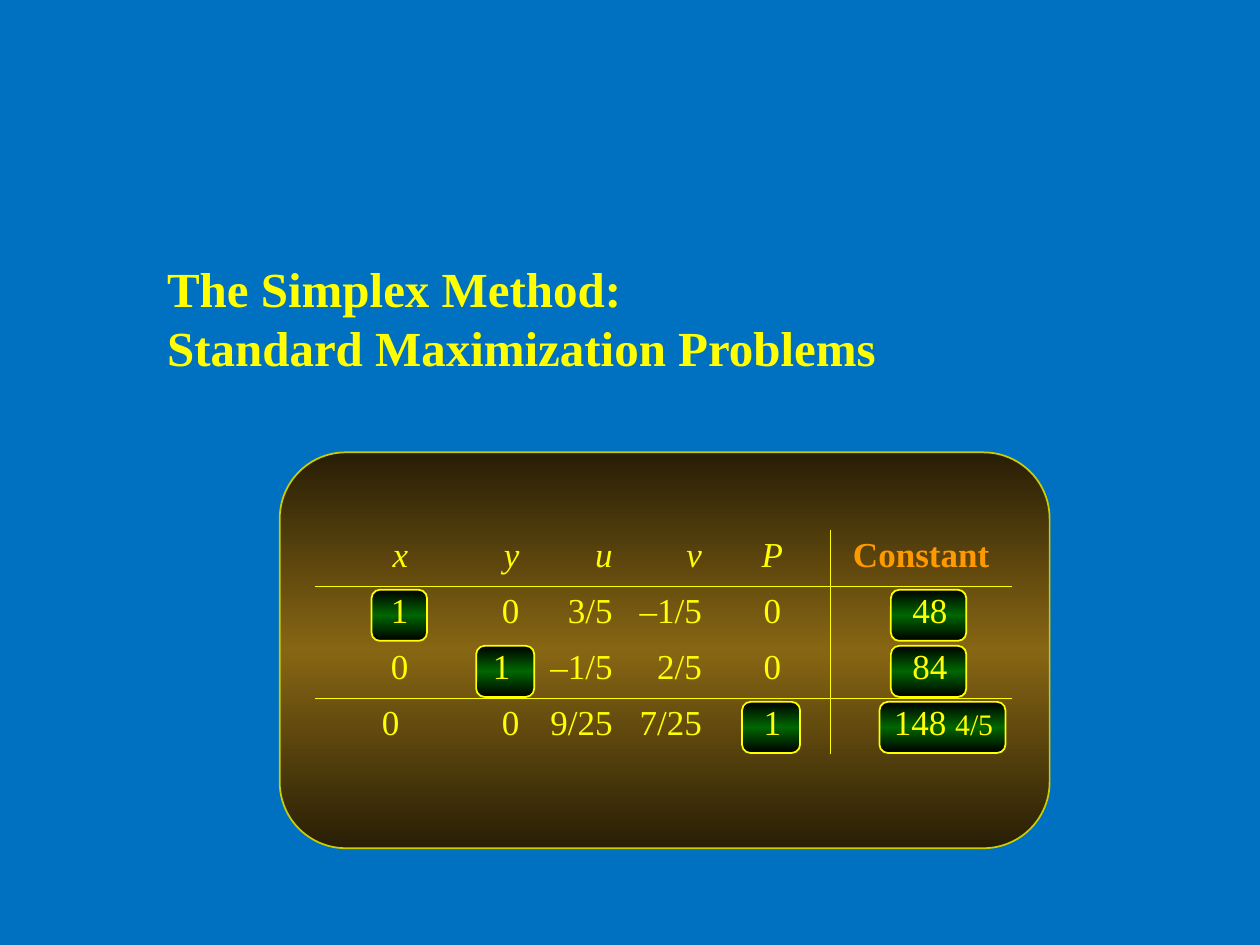
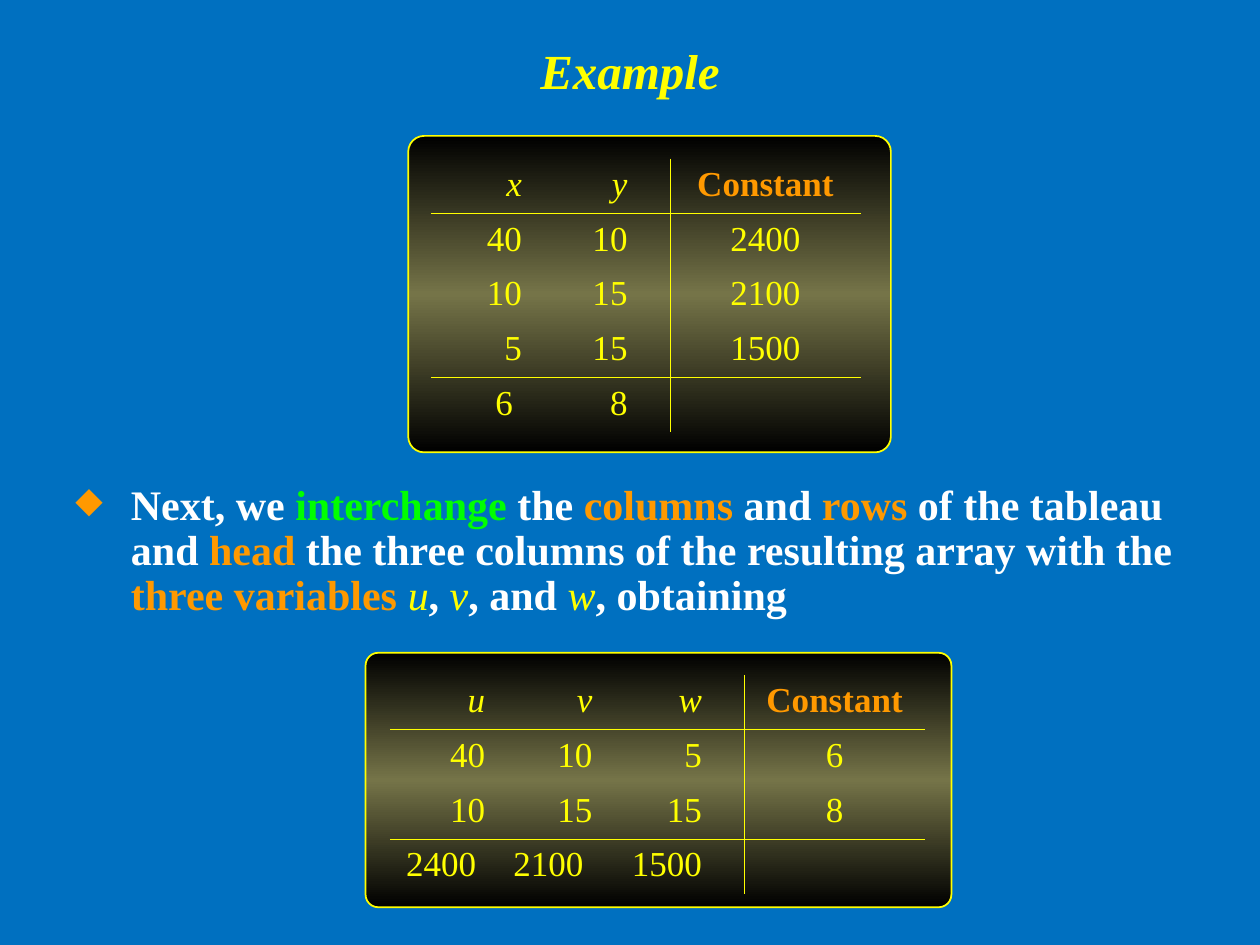
from dataclasses import dataclass
from lxml.etree import SubElement as Sub
from pptx import Presentation
from pptx.dml.color import RGBColor as Rgb
from pptx.enum.shapes import MSO_SHAPE as Shape
from pptx.enum.text import MSO_ANCHOR as Anchor, PP_ALIGN as Align
from pptx.oxml.ns import qn
from pptx.util import Cm, Pt


@dataclass(frozen=True)
class Look:
    size: float
    color: str
    bold: bool = False
    italic: bool = False


class Theme:
    font = "Times New Roman"
    back, line, edge, mark = "0070C0", "FFFF00", "CCCC00", "FF9900"
    gold = ("281E06", "876613")
    green = ("000000", "006600")
    olive = ("000000", "757448")
    rule = 0.45
    bare = "{2D5ABB26-0587-4C30-8999-92F81FD0307C}"  # table without grid
    pad = 0.25
    # Text looks
    cover = Look(28, line, bold=True)
    title = Look(28, line, bold=True, italic=True)
    body = Look(24, "FFFFFF", bold=True)
    key = Look(24, mark, bold=True)
    act = Look(24, "00FF00", bold=True)
    var = Look(24, line, italic=True)
    head = Look(20, line, italic=True)
    const = Look(20, mark, bold=True)
    cell = Look(20, line)
    small = Look(17, line)


class Deck:
    def __init__(self, theme):
        self.theme = theme
        self.prs = Presentation()
        self.prs.slide_width, self.prs.slide_height = Cm(25.4), Cm(19.05)
        self.slide = None

    def page(self):
        self.slide = self.prs.slides.add_slide(self.prs.slide_layouts[6])
        fill = self.slide.background.fill
        fill.solid()
        fill.fore_color.rgb = Rgb.from_string(self.theme.back)

    def run(self, para, text, look):
        run = para.add_run()
        run.text = text
        font = run.font
        font.name, font.size = self.theme.font, Pt(look.size)
        font.bold, font.italic = look.bold, look.italic
        font.color.rgb = Rgb.from_string(look.color)

    def text(self, box, paras, align=Align.LEFT, anchor=Anchor.TOP):
        """Add a text box; each paragraph is a list of (text, look) runs."""
        frame = self.slide.shapes.add_textbox(*map(Cm, box)).text_frame
        frame.word_wrap, frame.vertical_anchor = True, anchor
        for num, runs in enumerate(paras):
            para = frame.add_paragraph() if num else frame.paragraphs[0]
            para.alignment = align
            for text, look in runs:
                self.run(para, text, look)
        return frame.paragraphs

    def bullet(self, para, indent):
        props = para._p.get_or_add_pPr()
        props.set("marL", str(Cm(indent)))
        props.set("indent", str(-Cm(indent)))
        Sub(Sub(props, qn("a:buClr")), qn("a:srgbClr"), val=self.theme.mark)
        Sub(props, qn("a:buSzPct"), val="85000")
        Sub(props, qn("a:buChar"), char="◆")

    def panel(self, box, colors, bend, edge=Theme.line):
        """Add a rounded box that shades from dark to light and back."""
        shape = self.slide.shapes.add_shape(
            Shape.ROUNDED_RECTANGLE, *map(Cm, box))
        shape.shadow.inherit = False
        shape.adjustments[0] = bend
        shape.line.color.rgb = Rgb.from_string(edge)
        shape.line.width = Pt(1)
        shape.fill.gradient()
        shape.fill.gradient_angle = 270
        stops = shape._element.spPr.find(".//" + qn("a:gsLst"))
        for stop in list(stops):
            stops.remove(stop)
        dark, light = colors
        for pos, color in ((0, dark), (50, light), (100, dark)):
            stop = Sub(stops, qn("a:gs"), pos=str(pos * 1000))
            Sub(stop, qn("a:srgbClr"), val=color)

    def border(self, cell, sides):
        props = cell._tc.get_or_add_tcPr()
        for side, drawn in sides.items():
            line = Sub(props, qn("a:ln" + side), w=str(Pt(self.theme.rule)))
            if drawn:
                fill = Sub(line, qn("a:solidFill"))
                Sub(fill, qn("a:srgbClr"), val=self.theme.line)
            else:
                Sub(line, qn("a:noFill"))

    def tableau(self, left, top, cols, high, rows, mid=1, pads=None):
        """Add a simplex tableau: the last mid columns are centred, and
        pads maps (row, column) to extra left and right margins."""
        theme, pads = self.theme, pads or {}
        last, end = len(rows) - 1, len(cols) - 1
        table = self.slide.shapes.add_table(
            len(rows), len(cols), Cm(left), Cm(top),
            Cm(sum(cols)), Cm(high * len(rows))).table
        table.first_row = table.horz_banding = False
        table._tbl.tblPr.find(qn("a:tableStyleId")).text = theme.bare
        for col, wide in zip(table.columns, cols):
            col.width = Cm(wide)
        for r, row in enumerate(rows):
            table.rows[r].height = Cm(high)
            for c, item in enumerate(row):
                cell = table.cell(r, c)
                more = pads.get((r, c), (0, 0))
                cell.margin_left = Cm(theme.pad + more[0])
                cell.margin_right = Cm(theme.pad + more[1])
                # Rules under the heads, over the last row, before constants
                self.border(cell, {"L": c == end, "R": c == end - 1,
                                   "T": r in (1, last),
                                   "B": r in (0, last - 1)})
                cell.fill.background()
                para = cell.text_frame.paragraphs[0]
                center = c > end - mid
                para.alignment = Align.CENTER if center else Align.RIGHT
                look = theme.cell
                if r == 0:
                    look = theme.const if c == end else theme.head
                runs = [(item, look)] if isinstance(item, str) else item
                for text, style in runs:
                    if text:
                        self.run(para, text, style)


def cover(deck):
    theme = deck.theme
    deck.page()
    # Title
    paras = deck.text((3.12, 5.08, 18.85, 5.28), [
        [("The Simplex Method:", theme.cover)],
        [("Standard Maximization Problems", theme.cover)]])
    paras[1].line_spacing = 0.8
    paras[1].space_before = Pt(7)
    # Panel and marked cells: left, width and row
    deck.panel((5.64, 9.12, 15.52, 7.98), theme.gold, 0.167, theme.edge)
    high = 1.13
    for left, wide, row in ((7.49, 1.12, 0), (17.96, 1.52, 0),
                            (9.6, 1.17, 1), (17.96, 1.52, 1),
                            (14.96, 1.17, 2), (17.73, 2.54, 2)):
        deck.panel((left, 11.89 + row * high, wide, 1.03),
                   theme.green, 0.165)
    # Final tableau
    total = [("148 ", theme.cell), ("4/5", theme.small)]
    deck.tableau(
        6.35, 10.69, (2.13, 2.24, 1.88, 1.8, 2.34, 3.66), high,
        [("x", "y", "u", "v", "P", "Constant"),
         ("1", "0", "3/5", "–1/5", "0", "48"),
         ("0", "1", "–1/5", "2/5", "0", "84"),
         ("0", "0", "9/25", "7/25", "1", total)],
        mid=2,
        pads={(1, 5): (0.35, 0), (2, 5): (0.35, 0), (3, 5): (0.9, 0),
              (2, 1): (0, 0.18), (3, 0): (0, 0.18)})


def example(deck):
    theme = deck.theme
    deck.page()
    # Title
    deck.text((1.27, 0, 22.86, 2.82), [[("Example", theme.title)]],
              Align.CENTER, Anchor.MIDDLE)
    # Body
    body, key, var = theme.body, theme.key, theme.var
    para = deck.text((1.27, 9.63, 23.06, 9.42), [[
        ("Next, we ", body), ("interchange", theme.act), (" the ", body),
        ("columns", key), (" and ", body), ("rows", key),
        (" of the tableau and ", body), ("head", key),
        (" the three columns of the resulting array with the ", body),
        ("three variables ", key), ("u", var), (", ", body), ("v", var),
        (", and ", body), ("w", var), (", obtaining", body)]])[0]
    para.line_spacing = 0.9
    deck.bullet(para, 1.12)
    # First tableau
    high = 1.1
    deck.panel((8.23, 2.74, 9.73, 6.38), theme.olive, 0.05)
    deck.tableau(
        8.69, 3.2, (2.08, 2.13, 0.61, 3.84), high,
        [("x", "y", "", "Constant"),
         ("40", "10", "", "2400"),
         ("10", "15", "", "2100"),
         ("5", "15", "", "1500"),
         ("6", "8", "", "")],
        pads={(4, 0): (0, 0.18)})
    # Tableau with columns and rows interchanged
    deck.panel((7.37, 13.16, 11.81, 5.13), theme.olive, 0.05)
    deck.tableau(
        7.87, 13.61, (2.16, 2.16, 2.21, 0.61, 3.63), high,
        [("u", "v", "w", "", "Constant"),
         ("40", "10", "5", "", "6"),
         ("10", "15", "15", "", "8"),
         ("2400", "2100", "1500", "", "")],
        pads={(3, 0): (0, 0.18), (3, 1): (0, 0.18)})


def main():
    deck = Deck(Theme())
    cover(deck)
    example(deck)
    deck.prs.save("out.pptx")


if __name__ == "__main__":
    main()
